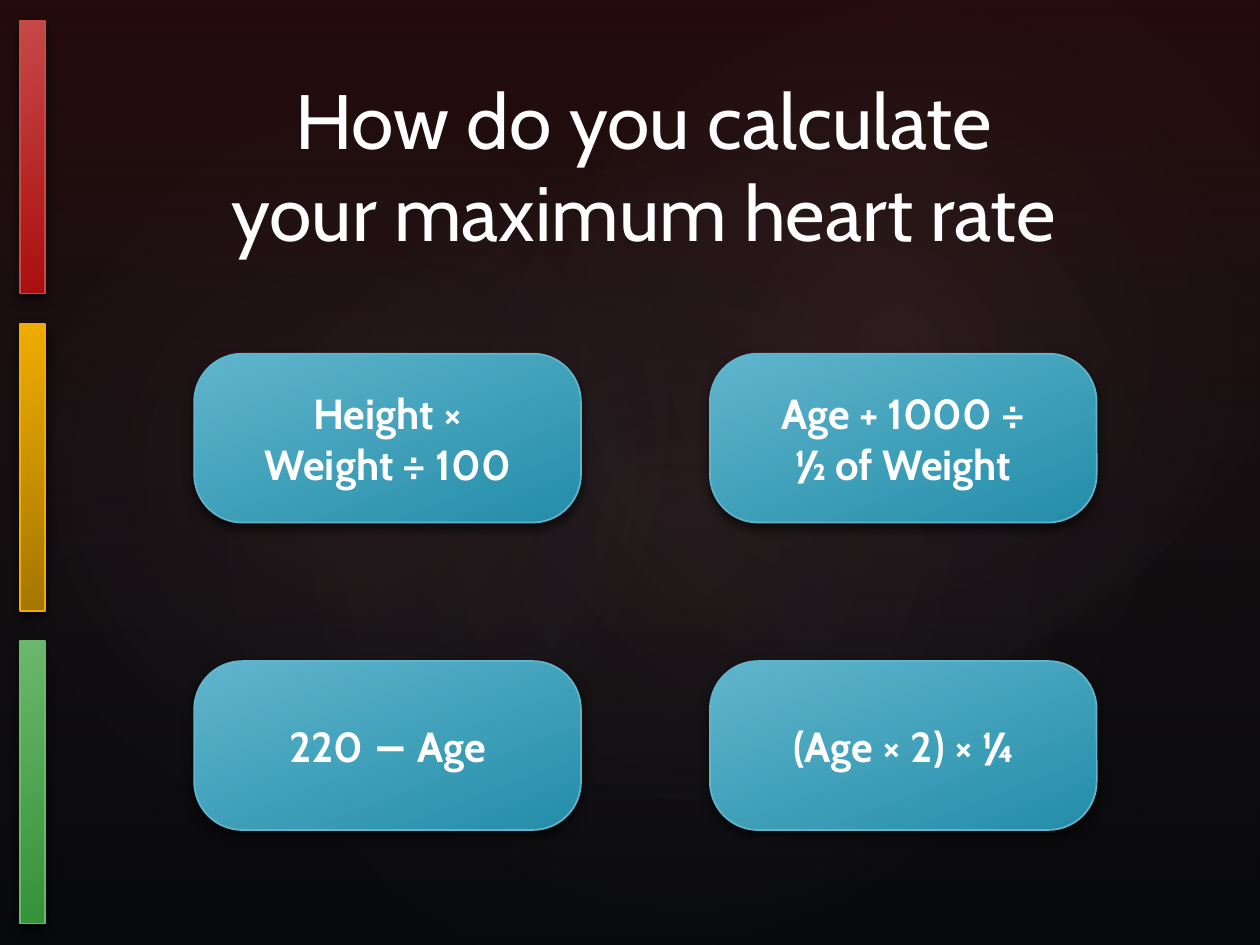
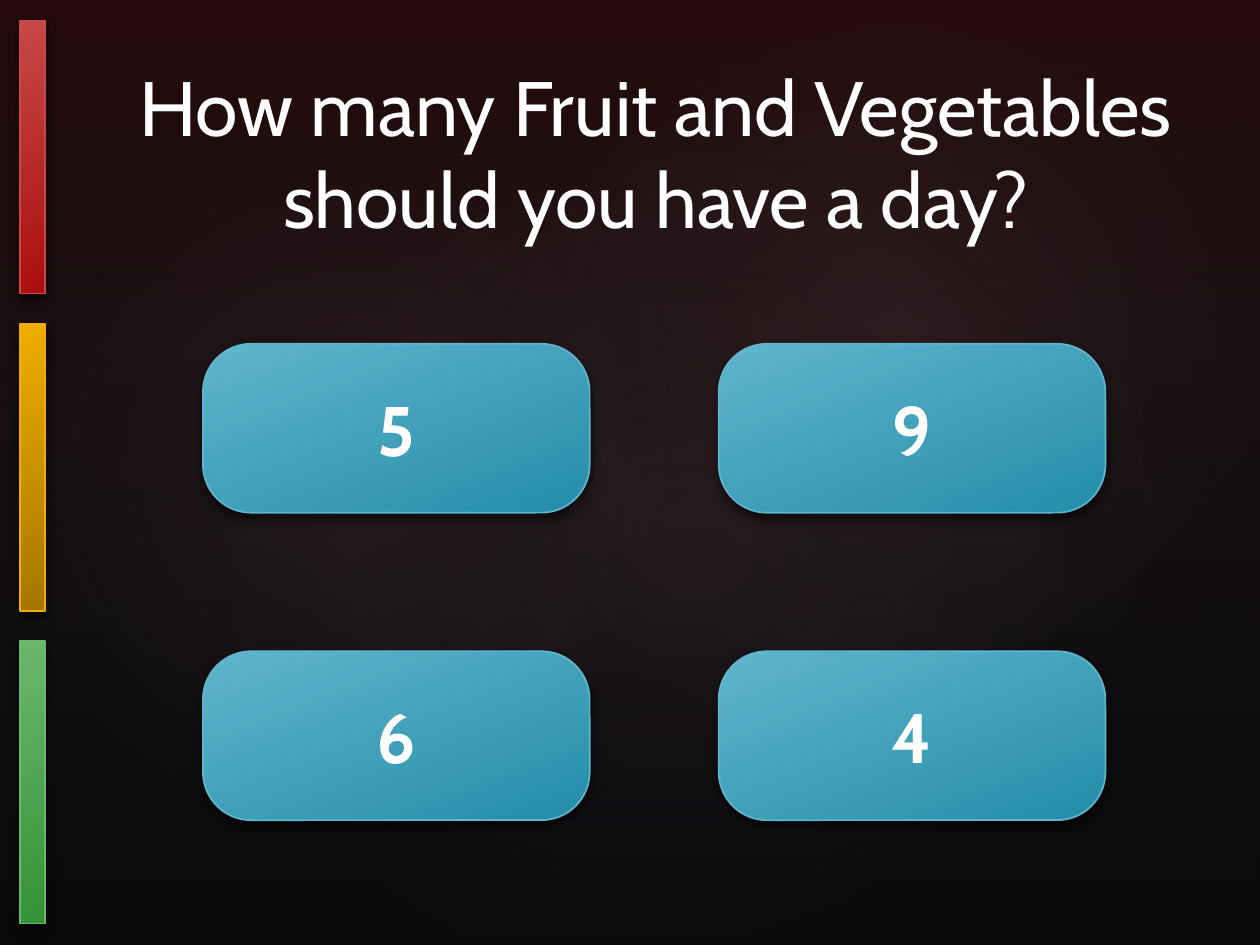
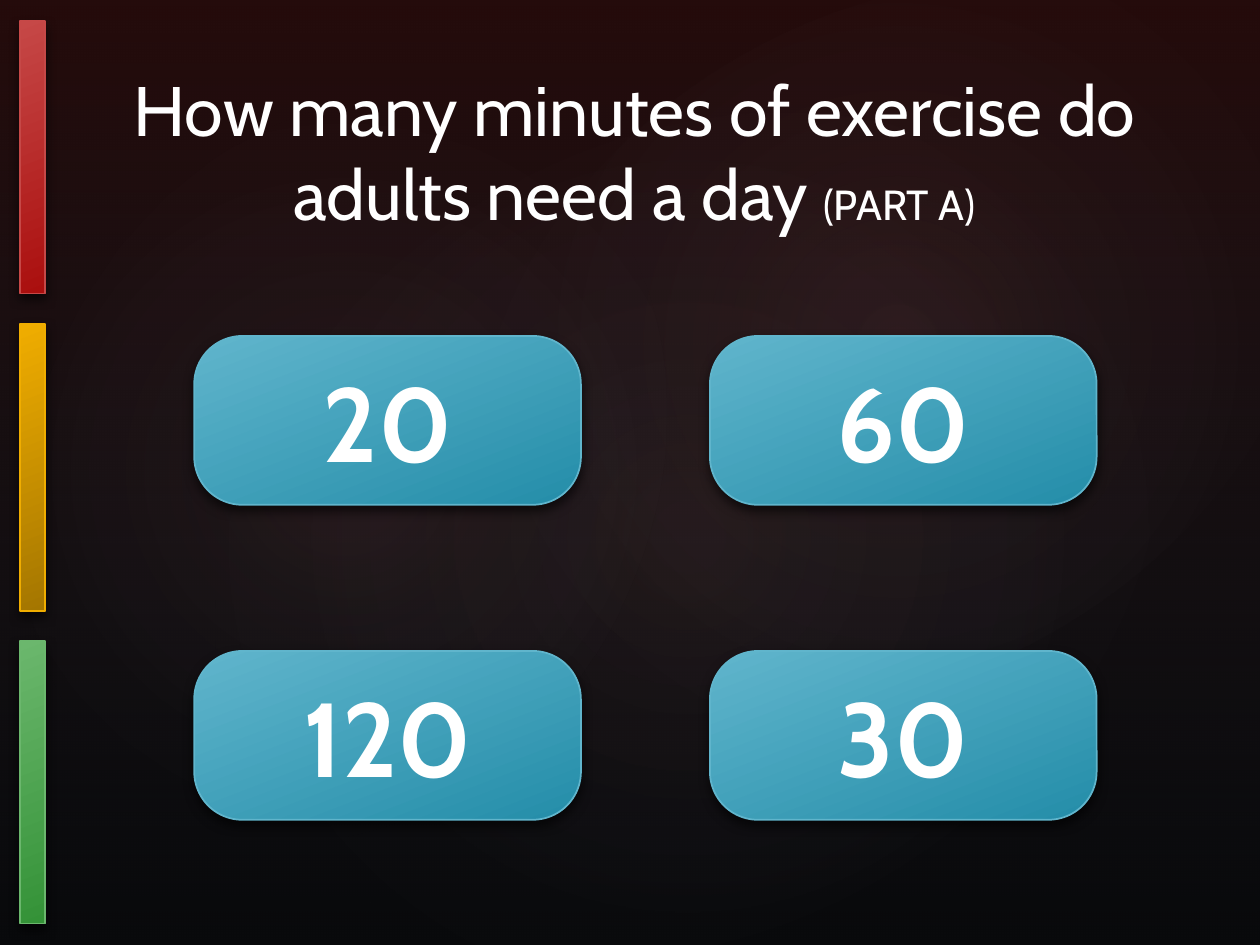
"""Three quiz slides with a title and four answer buttons."""
from pptx import Presentation
from pptx.dml.color import RGBColor
from pptx.enum.shapes import MSO_SHAPE
from pptx.enum.text import MSO_ANCHOR, PP_ALIGN
from pptx.oxml import parse_xml
from pptx.oxml.ns import nsdecls, qn
from pptx.util import Pt

BLACK = RGBColor(0x00, 0x00, 0x00)
WHITE = RGBColor(0xFF, 0xFF, 0xFF)
MAROON = RGBColor(0x67, 0x20, 0x20)
SLATE = RGBColor(0x5A, 0x63, 0x78)
ROSE = RGBColor(0xDD, 0x91, 0x91)
TEAL = (RGBColor(0x60, 0xB5, 0xCC), RGBColor(0x24, 0x8D, 0xA9))
RED = (RGBColor(0xC6, 0x48, 0x47), RGBColor(0xAA, 0x0F, 0x0E))
AMBER = (RGBColor(0xF0, 0xAD, 0x00), RGBColor(0xA4, 0x76, 0x00))
GREEN = (RGBColor(0x6B, 0xB7, 0x6D), RGBColor(0x34, 0x92, 0x37))

FONT = "Cabin"
PAGE = (0, 0, 720, 540)
BAR_BOX = (11.5, 12.2, 14.4)
BARS = [(155.5, RED), (164.2, AMBER), (161.3, GREEN)]
BAR_GAP = 17.3
BUTTON_SIZE = (221, 96.5)
COLUMN_STEP = 294.7
GLOWS = [
    ((108, 82, 570, 449), 328.7, 7),
    ((-21.6, 92.2, 436.3, 352.8), 294.3, 8),
    ((257.8, 9.4, 510.5, 374.4), 328.7, 8),
]
LINEAR = '<a:lin ang="{}" scaled="0"/>'
RADIAL = ('<a:path path="circle">'
          '<a:fillToRect l="50000" t="50000" r="50000" b="50000"/></a:path>')
SHADOW = (f'<a:outerShdw {nsdecls("a")} blurRad="{Pt(6)}" dist="{Pt(3)}" '
          f'dir="5400000" rotWithShape="0"><a:srgbClr val="{BLACK}">'
          '<a:alpha val="60000"/></a:srgbClr></a:outerShdw>')

QUESTIONS = [
    {"title_box": (117, 41, 502, 109.5),
     "title": [("How do you calculate your maximum heart rate", 44)],
     "grid": (111, 202.1, 175.7), "answer_size": 24,
     "answers": ["Height × Weight ÷ 100", "Age + 1000 ÷ ½ of Weight",
                 "220 − Age", "(Age × 2) × ¼"]},
    {"title_box": (72, 43.2, 605.5, 100),
     "title": [("How many Fruit and Vegetables should you have a day?", 44)],
     "grid": (116, 196.5, 175.7), "answer_size": 40,
     "answers": ["5", "9", "6", "4"]},
    {"title_box": (59.8, 37.4, 605.5, 100),
     "title": [("How many minutes of exercise do adults need a day ", 40),
               ("(PART A)", 24)],
     "grid": (111, 192, 180), "answer_size": 60,
     "answers": ["20", "60", "120", "30"]},
]


def apply_format(target, values):
    """Set each named attribute on the target."""
    for name, value in values.items():
        setattr(target, name, value)


def add_gradient_shape(slide, kind, box, stops, direction):
    """Add an unlined shape filled with (position, colour, opacity) stops."""
    shape = slide.shapes.add_shape(kind, *map(Pt, box))
    shape.shadow.inherit = False
    shape.line.fill.background()
    shape.fill.background()
    stop_xml = "".join(
        f'<a:gs pos="{position * 1000}"><a:srgbClr val="{colour}">'
        f'<a:alpha val="{opacity * 1000}"/></a:srgbClr></a:gs>'
        for position, colour, opacity in stops)
    gradient = parse_xml(f'<a:gradFill {nsdecls("a")} rotWithShape="1">'
                         f'<a:gsLst>{stop_xml}</a:gsLst>{direction}</a:gradFill>')
    properties = shape.element.spPr
    properties.replace(properties.find(qn("a:noFill")), gradient)
    return shape


def add_glossy_shape(slide, kind, box, colours):
    """Add a lined, shadowed shape that fades between two colours."""
    light, dark = colours
    shape = add_gradient_shape(slide, kind, box,
                               [(0, light, 100), (100, dark, 100)],
                               LINEAR.format(69 * 60000))
    shape.line.color.rgb = light
    shape.line.width = Pt(1)
    shape.element.spPr.find(qn("a:effectLst")).append(parse_xml(SHADOW))
    return shape


def write_text(shape, runs, inset, anchor, bold=False):
    """Write centred white (text, size) runs into the shape."""
    frame = shape.text_frame
    apply_format(frame, {"word_wrap": True, "vertical_anchor": anchor,
                         "margin_left": Pt(inset), "margin_right": Pt(inset)})
    paragraph = frame.paragraphs[0]
    paragraph.alignment = PP_ALIGN.CENTER
    for text, size in runs:
        run = paragraph.add_run()
        run.text = text
        apply_format(run.font, {"name": FONT, "size": Pt(size), "bold": bold})
        run.font.color.rgb = WHITE


def build_backdrop(master, slide):
    """Draw the dark backdrop with its glows and hand it to the master."""
    background = master.background.fill
    background.solid()
    background.fore_color.rgb = BLACK
    backdrop = [add_gradient_shape(slide, MSO_SHAPE.RECTANGLE, PAGE,
                                   [(0, MAROON, 36), (100, SLATE, 10)],
                                   LINEAR.format(90 * 60000))]
    for box, rotation, opacity in GLOWS:
        glow = add_gradient_shape(slide, MSO_SHAPE.OVAL, box,
                                  [(0, ROSE, opacity), (58, SLATE, 0)], RADIAL)
        glow.rotation = rotation
        backdrop.append(glow)
    for part in backdrop:
        master.shapes.element.append(part.element)


def add_title(slide, box, runs):
    """Add the question, resting on the bottom of its box."""
    title = slide.shapes.add_textbox(*map(Pt, box))
    write_text(title, runs, 7.2, MSO_ANCHOR.BOTTOM)


def add_answers(slide, grid, answers, size):
    """Lay the answer buttons out in two columns."""
    left, top, row_step = grid
    for index, answer in enumerate(answers):
        row, column = divmod(index, 2)
        box = (left + column * COLUMN_STEP, top + row * row_step, *BUTTON_SIZE)
        button = add_glossy_shape(slide, MSO_SHAPE.ROUNDED_RECTANGLE, box, TEAL)
        button.adjustments[0] = 0.285
        write_text(button, [(answer, size)], 24, MSO_ANCHOR.MIDDLE, bold=True)


def add_traffic_bars(slide, box):
    """Stack the red, amber and green bars down the left edge."""
    left, top, width = box
    for height, colours in BARS:
        add_glossy_shape(slide, MSO_SHAPE.RECTANGLE,
                         (left, top, width, height), colours)
        top += height + BAR_GAP


def build_question(slide, question):
    """Fill one slide with a question and its answers."""
    add_title(slide, question["title_box"], question["title"])
    add_answers(slide, question["grid"], question["answers"],
                question["answer_size"])
    add_traffic_bars(slide, BAR_BOX)


def main():
    """Build and save the quiz."""
    quiz = Presentation()
    apply_format(quiz, {"slide_width": Pt(PAGE[2]), "slide_height": Pt(PAGE[3])})
    slides = [quiz.slides.add_slide(quiz.slide_layouts[6]) for _ in QUESTIONS]
    build_backdrop(quiz.slide_master, slides[0])
    for slide, question in zip(slides, QUESTIONS):
        build_question(slide, question)
    quiz.save("out.pptx")


if __name__ == "__main__":
    main()
